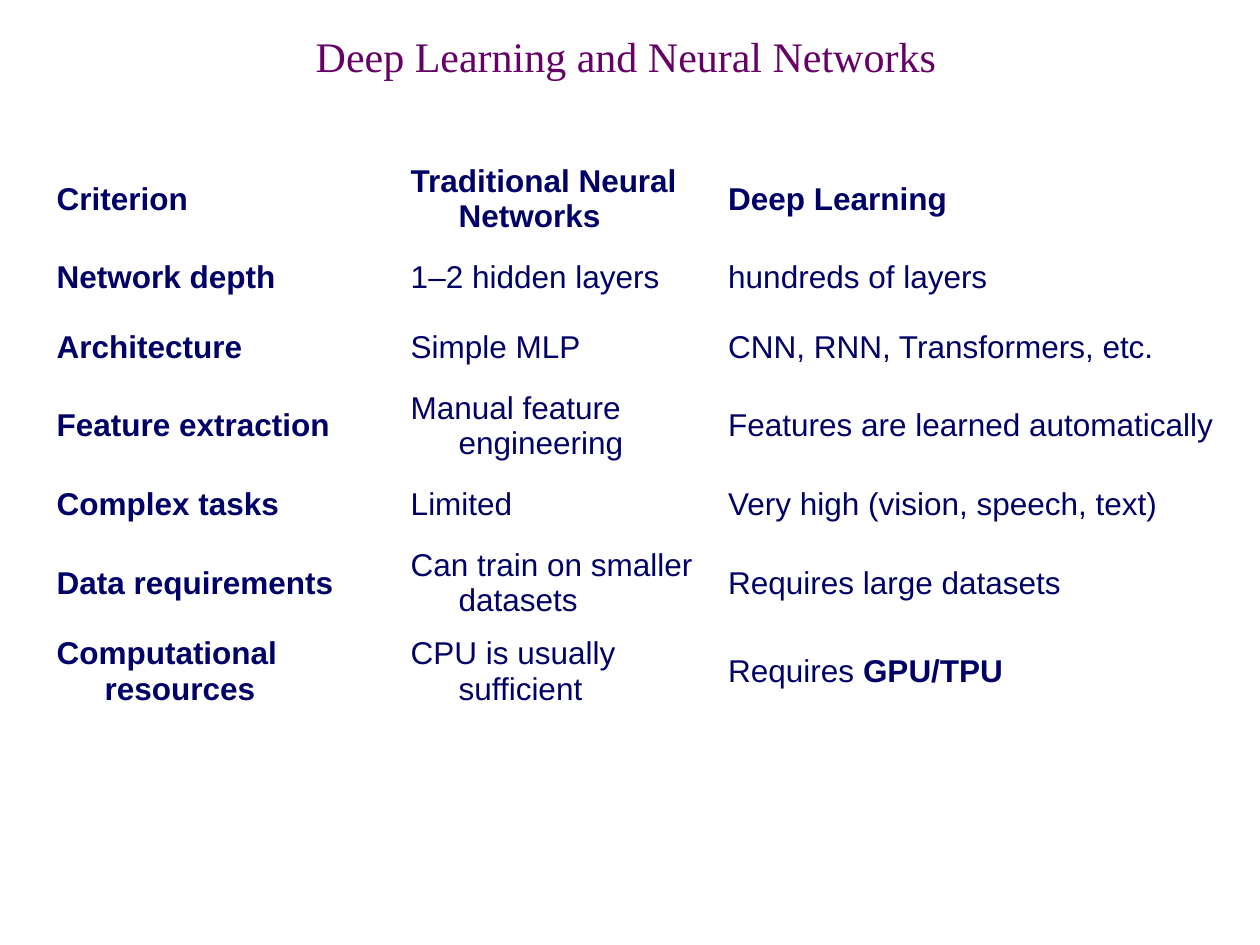
from dataclasses import dataclass

from pptx import Presentation
from pptx.dml.color import RGBColor
from pptx.enum.text import MSO_ANCHOR, MSO_AUTO_SIZE, PP_ALIGN
from pptx.slide import Slide
from pptx.table import _Cell
from pptx.util import Inches, Pt


@dataclass(frozen=True)
class Theme:
    title_font: str = "Times New Roman"
    body_font: str = "Arial"
    title_color: RGBColor = RGBColor(0x66, 0x00, 0x66)
    body_color: RGBColor = RGBColor(0x00, 0x00, 0x66)
    title_size: Pt = Pt(24)
    body_size: Pt = Pt(18)
    hanging_indent: Inches = Inches(0.38)


@dataclass(frozen=True)
class Criterion:
    name: str
    traditional: str
    deep: str
    deep_emphasis: str = ""
    height: float = 0.55
    is_header: bool = False


THEME = Theme()
COLUMN_WIDTHS = (2.81, 2.52, 4.06)
CRITERIA = (
    Criterion("Criterion", "Traditional Neural Networks", "Deep Learning", height=0.7, is_header=True),
    Criterion("Network depth", "1–2 hidden layers", "hundreds of layers"),
    Criterion("Architecture", "Simple MLP", "CNN, RNN, Transformers, etc."),
    Criterion("Feature extraction", "Manual feature engineering", "Features are learned automatically", height=0.7),
    Criterion("Complex tasks", "Limited", "Very high (vision, speech, text)"),
    Criterion("Data requirements", "Can train on smaller datasets", "Requires large datasets", height=0.7),
    Criterion("Computational resources", "CPU is usually sufficient", "Requires ", "GPU/TPU", height=0.7),
    Criterion("", "", ""),
)


def apply_format(target: object, values: dict) -> None:
    for name, value in values.items():
        setattr(target, name, value)


def add_title(slide: Slide, text: str) -> None:
    title = slide.shapes.title
    apply_format(title, {"left": Inches(0.51), "top": Inches(0.21), "width": Inches(9), "height": Inches(0.47)})
    frame = title.text_frame
    apply_format(frame, {"auto_size": MSO_AUTO_SIZE.NONE, "word_wrap": True, "vertical_anchor": MSO_ANCHOR.MIDDLE})
    paragraph = frame.paragraphs[0]
    paragraph.alignment = PP_ALIGN.CENTER
    run = paragraph.add_run()
    run.text = text
    apply_format(run.font, {"name": THEME.title_font, "size": THEME.title_size})
    run.font.color.rgb = THEME.title_color


def fill_cell(cell: _Cell, runs: list[tuple[str, bool]]) -> None:
    cell.fill.background()
    cell.vertical_anchor = MSO_ANCHOR.MIDDLE
    paragraph = cell.text_frame.paragraphs[0]
    properties = paragraph._p.get_or_add_pPr()
    properties.set("marL", str(THEME.hanging_indent))
    properties.set("indent", str(-THEME.hanging_indent))
    for text, bold in runs:
        if text:
            run = paragraph.add_run()
            run.text = text
            apply_format(run.font, {"name": THEME.body_font, "size": THEME.body_size, "bold": bold})
            run.font.color.rgb = THEME.body_color


def add_comparison(slide: Slide, criteria: tuple[Criterion, ...]) -> None:
    height = sum(criterion.height for criterion in criteria)
    table = slide.shapes.add_table(
        len(criteria), len(COLUMN_WIDTHS), Inches(0.35), Inches(1.23),
        Inches(sum(COLUMN_WIDTHS)), Inches(height),
    ).table
    apply_format(table, {"first_row": False, "horz_banding": False})
    for column, width in zip(table.columns, COLUMN_WIDTHS):
        column.width = Inches(width)
    for row, criterion in zip(table.rows, criteria):
        row.height = Inches(criterion.height)
        contents = (
            [(criterion.name, True)],
            [(criterion.traditional, criterion.is_header)],
            [(criterion.deep, criterion.is_header), (criterion.deep_emphasis, True)],
        )
        for cell, runs in zip(row.cells, contents):
            fill_cell(cell, runs)


def main() -> None:
    """Build the slide comparing traditional networks with deep learning."""
    presentation = Presentation()
    apply_format(presentation, {"slide_width": Inches(10), "slide_height": Inches(7.5)})
    slide = presentation.slides.add_slide(presentation.slide_layouts[5])
    add_title(slide, "Deep Learning and Neural Networks ")
    add_comparison(slide, CRITERIA)
    presentation.save("out.pptx")


if __name__ == "__main__":
    main()
